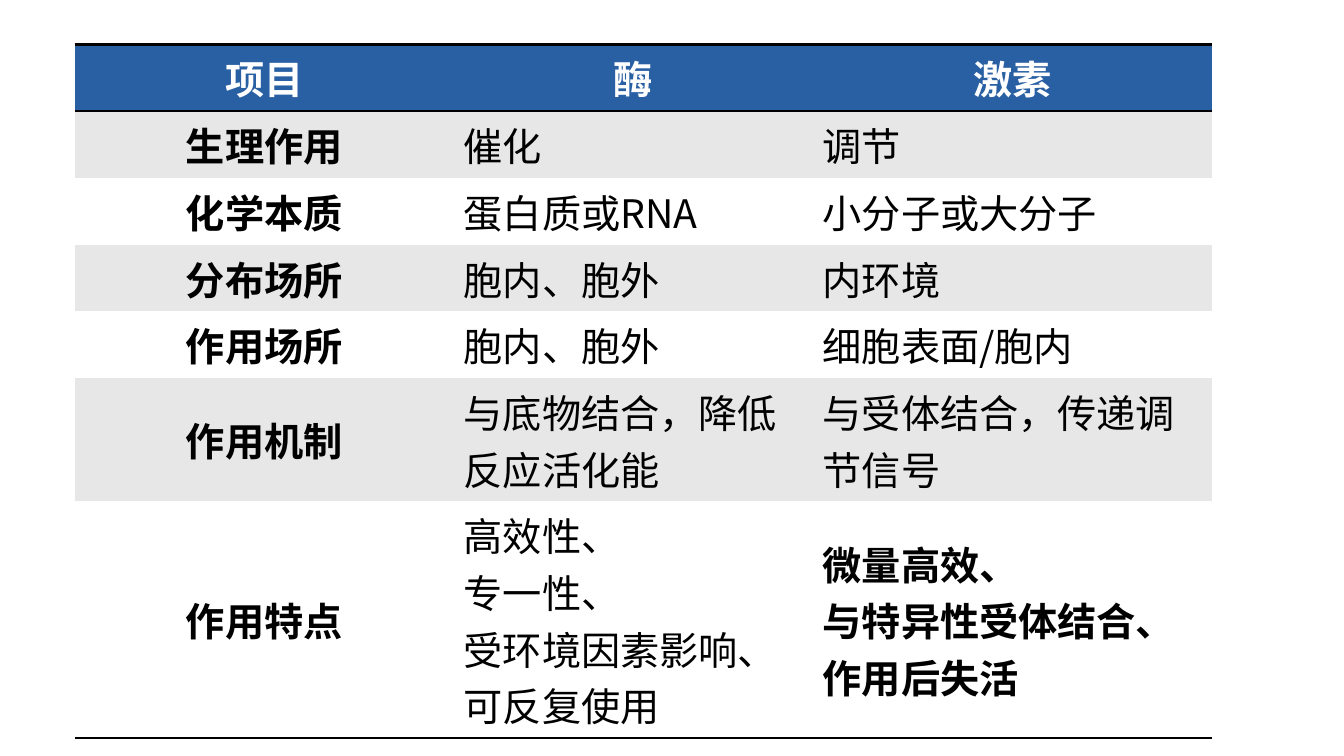
from lxml.etree import SubElement as Sub
from pptx import Presentation
from pptx.dml.color import RGBColor
from pptx.enum.text import MSO_ANCHOR as Anchor, PP_ALIGN as Align
from pptx.oxml.ns import qn
from pptx.util import Pt

PX = 9144  # 100 px to the inch
FONT = "Noto Sans CJK SC"
BLUE, GREY, WHITE, BLACK = "2960A3", "E7E7E7", "FFFFFF", "000000"
NO_STYLE = "{2D5ABB26-0587-4C30-8999-92F81FD0307C}"

COLS = [376, 356, 396]
ROWS = [59] * 5 + [108, 205]
DATA = [
    ("项目", "酶", "激素"),
    ("生理作用", "催化", "调节"),
    ("化学本质", "蛋白质或RNA", "小分子或大分子"),
    ("分布场所", "胞内、胞外", "内环境"),
    ("作用场所", "胞内、胞外", "细胞表面/胞内"),
    ("作用机制", "与底物结合，降低反应活化能", "与受体结合，传递调节信号"),
    ("作用特点", "高效性、\n专一性、\n受环境因素影响、\n可反复使用",
     "微量高效、\n与特异性受体结合、\n作用后失活"),
]


def color(code):
    return RGBColor.from_string(code)


def add_rule(cell, side):
    """Draw a black 2 pt line on one side of a cell."""
    line = Sub(cell._tc.get_or_add_tcPr(), qn("a:ln" + side), w=str(Pt(2)))
    fill = Sub(line, qn("a:solidFill"))
    Sub(fill, qn("a:srgbClr"), val=BLACK)


def write(cell, text, bold, ink, align):
    frame = cell.text_frame
    for i, line in enumerate(text.split("\n")):
        para = frame.add_paragraph() if i else frame.paragraphs[0]
        para.alignment = align
        run = para.add_run()
        run.text = line
        font = run.font
        font.size, font.bold, font.name = Pt(28), bold, FONT
        font.color.rgb = color(ink)
        Sub(run._r.get_or_add_rPr(), qn("a:ea"), typeface=FONT)


def add_grid(slide, left, top):
    frame = slide.shapes.add_table(len(ROWS), len(COLS), left * PX, top * PX,
                                   sum(COLS) * PX, sum(ROWS) * PX)
    table = frame.table
    table._tbl.tblPr.find(qn("a:tableStyleId")).text = NO_STYLE
    table.first_row = table.horz_banding = False
    for col, width in zip(table.columns, COLS):
        col.width = width * PX
    for row, height in zip(table.rows, ROWS):
        row.height = height * PX

    last = len(ROWS) - 1
    for r, texts in enumerate(DATA):
        for c, text in enumerate(texts):
            cell = table.cell(r, c)
            head, label = r == 0, c == 0
            strong = (r, c) == (last, 2)
            # Rules above and below the header, and under the last row
            if head:
                add_rule(cell, "T")
            if r in (0, last):
                add_rule(cell, "B")
            # Banded fill
            cell.fill.solid()
            band = GREY if r % 2 else WHITE
            cell.fill.fore_color.rgb = color(BLUE if head else band)
            # Text
            if strong or label and not head:
                cell.vertical_anchor = Anchor.MIDDLE
            write(cell, text, head or label or strong,
                  WHITE if head else BLACK,
                  Align.CENTER if head or label else Align.LEFT)


def main():
    deck = Presentation()
    deck.slide_width, deck.slide_height = 1333 * PX, 750 * PX
    slide = deck.slides.add_slide(deck.slide_layouts[6])
    add_grid(slide, 74, 44)
    deck.save("out.pptx")


if __name__ == "__main__":
    main()
